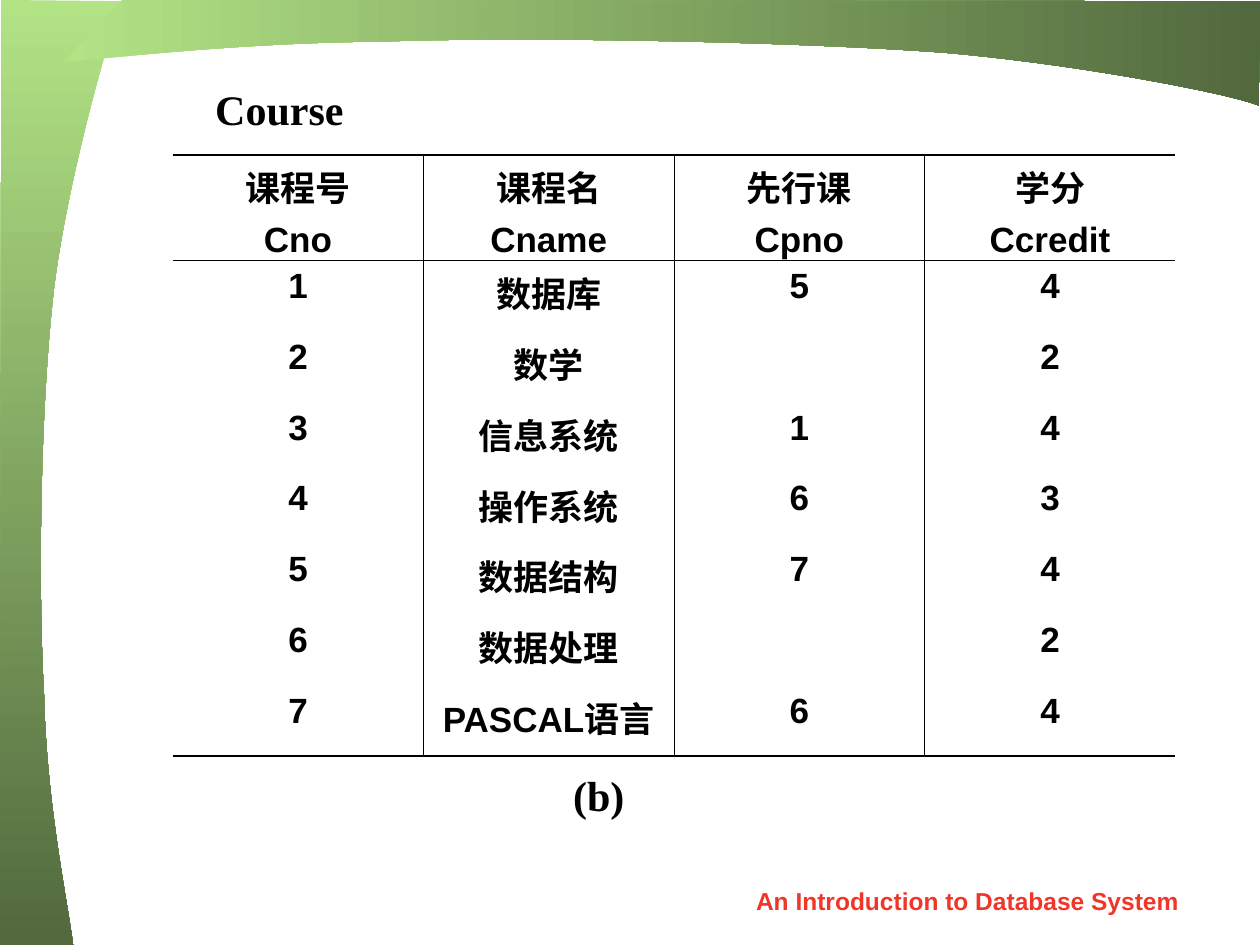
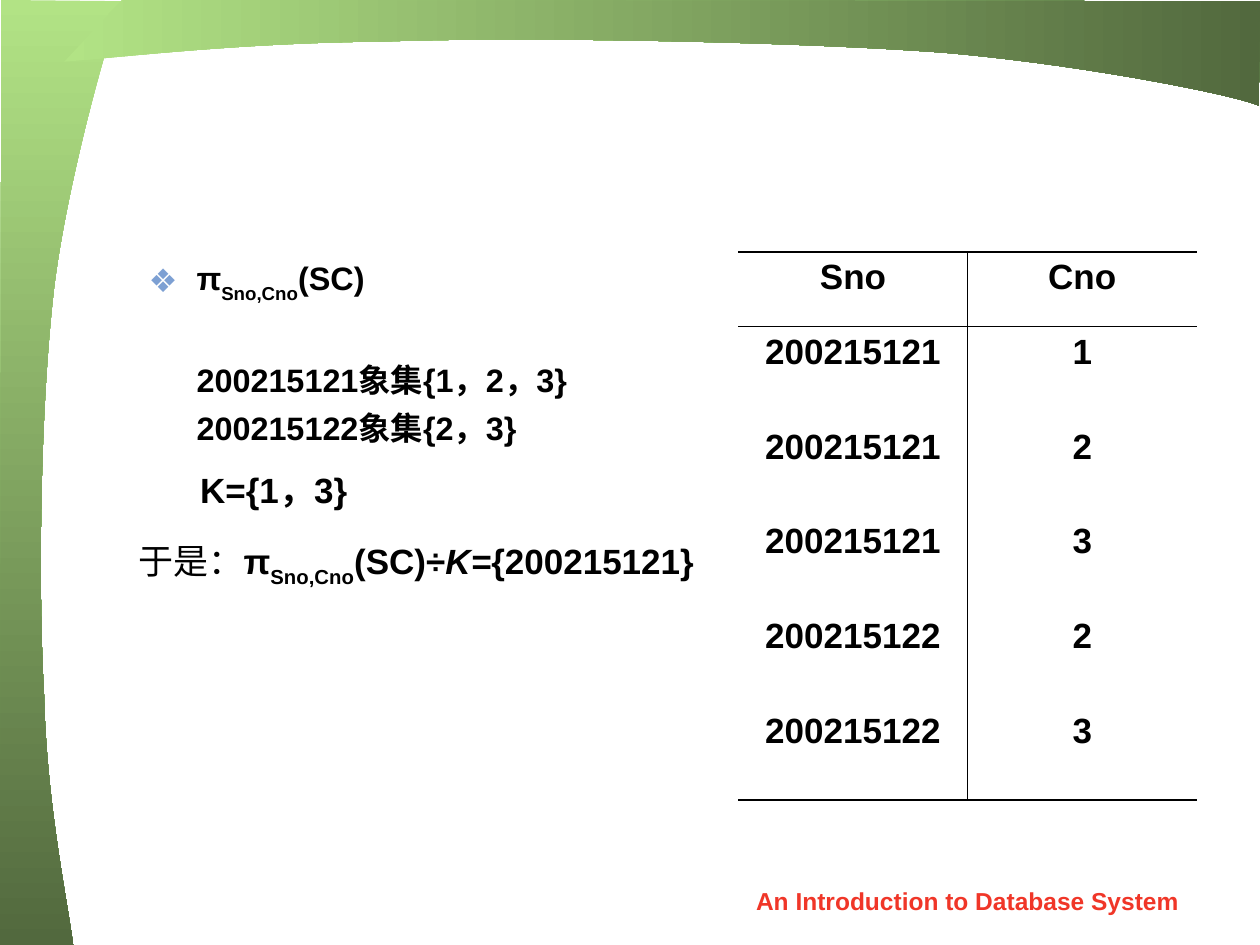
from pptx import Presentation
from pptx.dml.color import RGBColor
from pptx.enum.text import MSO_ANCHOR, MSO_AUTO_SIZE, PP_ALIGN
from pptx.oxml import parse_xml
from pptx.oxml.ns import nsdecls, qn
from pptx.util import Inches, Pt

BLACK, FOOTER_RED, BULLET_BLUE = "000000", "F03628", "7DA0D3"
BAND_LIGHT, BAND_DARK = "B2E385", "52693E"
SANS, SERIF = "Arial", "Times New Roman"
THICK, THIN = 1.08, 0.45

FOOTER = "An Introduction to Database System"

# Each band: start point, then segments of one point (line) or three (curve),
# and the gradient angle, counter-clockwise.
BANDS = [
    ((0.58, 7.5), [
        [(0.54, 7.17), (0.37, 6.39), (0.35, 5.52)],
        [(0.3, 4.64), (0.32, 3.22), (0.43, 2.28)],
        [(0.54, 1.39), (0.91, 0.1), (0.98, 0.01)],
        [(0.01, 0)], [(0, 7.5)]], 270),
    ((0.51, 0.49), [
        [(0.93, 0.46), (1.88, 0.34), (3.05, 0.33)],
        [(4.15, 0.29), (6.32, 0.33), (7.51, 0.42)],
        [(8.65, 0.52), (9.87, 0.77), (9.99, 0.84)],
        [(10, 0.01)], [(0.97, 0)]], 0),
]

COURSES = [
    ("课程号\nCno", "课程名\nCname", "先行课\nCpno", "学分\nCcredit"),
    ("1", "数据库", "5", "4"),
    ("2", "数学", "", "2"),
    ("3", "信息系统", "1", "4"),
    ("4", "操作系统", "6", "3"),
    ("5", "数据结构", "7", "4"),
    ("6", "数据处理", "", "2"),
    ("7", "PASCAL语言", "6", "4"),
]
SELECTIONS = [
    ("Sno", "Cno"),
    ("200215121", "1"),
    ("200215121", "2"),
    ("200215121", "3"),
    ("200215122", "2"),
    ("200215122", "3"),
]

# Runs are (text, style) pairs; styles: "sub", "italic", "plain" or "".
PROJECTION = [("π", ""), ("Sno,Cno", "sub")]
IMAGE_SETS = [  # space before in points, runs
    (0, PROJECTION + [("(SC)", "")]),
    (32, [("200215121象集{1，2，3}", "")]),
    (5, [("200215122象集{2，3}", "")]),
]
DIVISOR = [("K={1，3}", "")]
QUOTIENT = ([("于是：", "plain")] + PROJECTION
            + [("(SC)÷", ""), ("K=", "italic"), ("{200215121}", "")])


def color(hex_string):
    return RGBColor.from_string(hex_string)


def add_runs(paragraph, runs, size, font=SANS, hex_color=BLACK):
    for text, style in runs:
        run = paragraph.add_run()
        run.text = text
        run.font.name = font
        run.font.size = Pt(size)
        run.font.bold = style != "plain"
        run.font.color.rgb = color(hex_color)
        if style == "italic":
            run.font.italic = True
        elif style == "sub":
            run._r.get_or_add_rPr().set("baseline", "-30000")


def add_text(slide, box, runs, size, font=SANS, hex_color=BLACK, wrap=False):
    shape = slide.shapes.add_textbox(*map(Inches, box))
    frame = shape.text_frame
    frame.word_wrap = wrap
    frame.auto_size = MSO_AUTO_SIZE.SHAPE_TO_FIT_TEXT
    add_runs(frame.paragraphs[0], runs, size, font, hex_color)
    return shape


def add_footer(slide):
    shape = add_text(slide, (5.71, 6.97, 3.94, 0.35), [(FOOTER, "")], 14,
                     hex_color=FOOTER_RED, wrap=True)
    shape.text_frame.auto_size = MSO_AUTO_SIZE.NONE
    shape.text_frame.vertical_anchor = MSO_ANCHOR.MIDDLE
    shape.text_frame.paragraphs[0].alignment = PP_ALIGN.CENTER


def bend_lines(shape, segments):
    """Turn each run of three lines that stands for a curve into one curve."""
    lines = iter(list(shape.element.iter(qn("a:lnTo"))))
    for segment in segments:
        parts = [next(lines) for _ in segment]
        if len(parts) == 3:
            curve = parse_xml(f'<a:cubicBezTo {nsdecls("a")}/>')
            parts[0].addprevious(curve)
            for part in parts:
                curve.append(part[0])
                part.getparent().remove(part)


def add_bands(slide):
    for start, segments, angle in BANDS:
        builder = slide.shapes.build_freeform(*map(Inches, start))
        builder.add_line_segments(
            [(Inches(x), Inches(y)) for segment in segments for x, y in segment],
            close=True)
        shape = builder.convert_to_shape()
        bend_lines(shape, segments)
        shape.shadow.inherit = False
        shape.line.fill.background()
        shape.fill.gradient()
        shape.fill.gradient_angle = angle
        stops = zip(shape.fill.gradient_stops, (BAND_LIGHT, BAND_DARK))
        for position, (stop, hex_color) in enumerate(stops):
            stop.color.rgb = color(hex_color)
            stop.position = position


def set_borders(cell, widths):
    """Set the left, right, top and bottom lines; a width of 0 means no line."""
    properties = cell._tc.get_or_add_tcPr()
    for index, (side, width) in enumerate(zip("LRTB", widths)):
        fill = (f'<a:solidFill><a:srgbClr val="{BLACK}"/></a:solidFill>'
                if width else "<a:noFill/>")
        properties.insert(index, parse_xml(
            f'<a:ln{side} {nsdecls("a")} w="{Pt(width)}">{fill}</a:ln{side}>'))


def add_ruled_table(slide, left, top, column_width, height, header_height, rows):
    row_count, column_count = len(rows), len(rows[0])
    row_height = (height - header_height) / (row_count - 1)
    table = slide.shapes.add_table(
        row_count, column_count, Inches(left), Inches(top),
        Inches(column_width * column_count), Inches(height)).table
    table.first_row = table.horz_banding = False
    for column in table.columns:
        column.width = Inches(column_width)
    for r, values in enumerate(rows):
        table.rows[r].height = Inches(row_height if r else header_height)
        for c, value in enumerate(values):
            cell = table.cell(r, c)
            cell.fill.background()
            if r == 0:
                cell.margin_bottom = 0
            set_borders(cell, (
                THIN if c > 0 else 0,
                THIN if c < column_count - 1 else 0,
                {0: THICK, 1: THIN}.get(r, 0),
                {0: THIN, row_count - 1: THICK}.get(r, 0)))
            for index, line in enumerate(value.split("\n") if value else []):
                frame = cell.text_frame
                paragraph = frame.add_paragraph() if index else frame.paragraphs[0]
                paragraph.alignment = PP_ALIGN.CENTER
                if index:
                    paragraph.space_before = Pt(5)
                add_runs(paragraph, [(line, "")], 20)


def fill_image_sets(body):
    body.left, body.top, body.width, body.height = map(Inches, (1.08, 2, 4.5, 1.67))
    frame = body.text_frame
    frame.word_wrap = True
    frame.auto_size = MSO_AUTO_SIZE.NONE
    hanging = Inches(0.38)
    for index, (space, runs) in enumerate(IMAGE_SETS):
        paragraph = frame.add_paragraph() if index else frame.paragraphs[0]
        properties = paragraph._p.get_or_add_pPr()
        properties.set("marL", str(hanging))
        properties.set("indent", str(0 if index else -hanging))
        if index:
            bullet = [f'<a:buNone {nsdecls("a")}/>']
        else:
            bullet = [f'<a:buClr {nsdecls("a")}><a:srgbClr val="{BULLET_BLUE}"/></a:buClr>',
                      f'<a:buChar {nsdecls("a")} char="❖"/>']
        for xml in bullet:
            properties.append(parse_xml(xml))
        paragraph.space_before = Pt(space)
        add_runs(paragraph, runs, 18.5)


def add_framed_slide(presentation, layout_index):
    slide = presentation.slides.add_slide(presentation.slide_layouts[layout_index])
    add_bands(slide)
    add_footer(slide)
    return slide


def build_course_slide(presentation):
    slide = add_framed_slide(presentation, 6)
    add_ruled_table(slide, 1.37, 1.23, 1.99, 4.77, 0.84, COURSES)
    add_text(slide, (1.61, 0.61, 1.22, 0.5), [("Course", "")], 24, SERIF)
    add_text(slide, (4.45, 6.06, 0.61, 0.5), [("(b)", "")], 24, SERIF)


def build_division_slide(presentation):
    slide = add_framed_slide(presentation, 1)
    title = slide.shapes.title.element
    title.getparent().remove(title)
    fill_image_sets(slide.placeholders[1])
    add_ruled_table(slide, 5.86, 2, 1.82, 4.35, 0.59, SELECTIONS)
    add_text(slide, (1.49, 3.67, 4.2, 0.44), DIVISOR, 20, wrap=True)
    add_text(slide, (1, 4.23, 4.86, 0.5), QUOTIENT, 20, wrap=True)


def main():
    presentation = Presentation()
    presentation.slide_width, presentation.slide_height = Inches(10), Inches(7.5)
    build_course_slide(presentation)
    build_division_slide(presentation)
    presentation.save("out.pptx")


if __name__ == "__main__":
    main()
